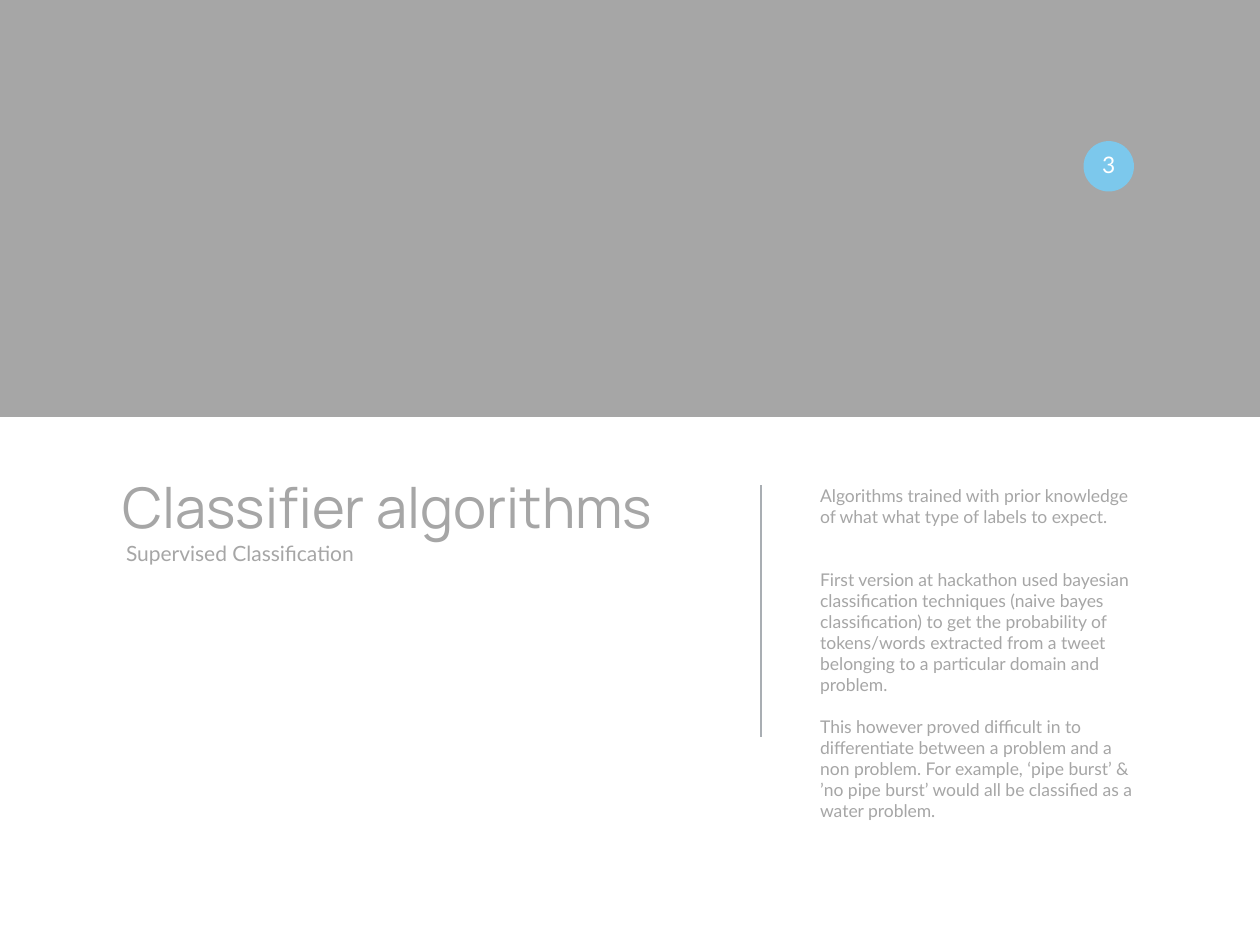
from pptx import Presentation
from pptx.dml.color import RGBColor
from pptx.enum.shapes import MSO_CONNECTOR, MSO_SHAPE
from pptx.enum.text import MSO_ANCHOR, PP_ALIGN
from pptx.oxml.ns import qn
from pptx.util import Inches, Pt
from lxml.etree import SubElement

COLORS = {
    "gray": "A6A6A6",
    "line": "A9AEB3",
    "blue": "7CC8EC",
    "white": "FFFFFF",
}

DESCRIPTION = [
    "Algorithms trained with prior knowledge of what what type of labels to expect.",
    "First version at hackathon used bayesian classification techniques (naive bayes "
    "classification) to get the probability of tokens/words extracted from a tweet "
    "belonging to a particular domain and problem.",
    "This however proved difficult in to differentiate between a problem and a non "
    "problem. For example, ‘pipe burst’ & ’no pipe burst’ would all be classified "
    "as a water problem.",
]


def color(name):
    return RGBColor.from_string(COLORS[name])


def write_text(shape, paragraphs, size, font="Lato", fill="gray", line_spacing=0.9,
               gaps=(), align=PP_ALIGN.LEFT, anchor=MSO_ANCHOR.TOP):
    """Fill a shape with paragraphs; gaps are points of space before each one."""
    frame = shape.text_frame
    frame.word_wrap = True
    frame.vertical_anchor = anchor
    frame.margin_left = frame.margin_right = 0
    frame.margin_top = frame.margin_bottom = 0
    for index, text in enumerate(paragraphs):
        paragraph = frame.add_paragraph() if index else frame.paragraphs[0]
        paragraph.alignment = align
        paragraph.line_spacing = line_spacing
        if gaps:
            paragraph.space_before = Pt(gaps[index])
        run = paragraph.add_run()
        run.text = text
        run.font.size = Pt(size)
        run.font.name = font
        run.font.color.rgb = color(fill)


def add_text(slide, paragraphs, left, top, width, height, **text_format):
    box = slide.shapes.add_textbox(Inches(left), Inches(top), Inches(width), Inches(height))
    write_text(box, paragraphs, **text_format)


def add_filled_shape(slide, kind, left, top, width, height, fill):
    shape = slide.shapes.add_shape(
        kind, Inches(left), Inches(top), Inches(width), Inches(height))
    shape.shadow.inherit = False
    shape.fill.solid()
    shape.fill.fore_color.rgb = color(fill)
    shape.line.fill.background()
    return shape


def add_vertical_line(slide, left, top, bottom):
    line = slide.shapes.add_connector(
        MSO_CONNECTOR.STRAIGHT, Inches(left), Inches(top), Inches(left), Inches(bottom))
    line.line.color.rgb = color("line")
    line.line.width = Pt(0.75)
    SubElement(line._element.spPr, qn("a:effectLst"))


def main():
    presentation = Presentation()
    presentation.slide_width = Inches(10)
    presentation.slide_height = Inches(7.5)
    slide = presentation.slides.add_slide(presentation.slide_layouts[6])

    # Top band
    add_filled_shape(slide, MSO_SHAPE.RECTANGLE, 0, 0, 10, 3.31, "gray")

    # Title and subtitle
    add_text(slide, ["Classifier algorithms"], 0.97, 3.81, 4.89, 0.63,
             size=32, font="Manrope")
    add_text(slide, ["Supervised Classification"], 1, 4.31, 5.01, 0.24, size=12)

    # Divider and description
    add_vertical_line(slide, 6.04, 3.85, 5.85)
    add_text(slide, DESCRIPTION, 6.51, 3.85, 2.5, 3.38,
             size=10, line_spacing=Pt(12), gaps=(0, 24, 12))

    # Page number badge
    badge = add_filled_shape(slide, MSO_SHAPE.OVAL, 8.6, 1.12, 0.4, 0.4, "blue")
    write_text(badge, ["3"], size=13, fill="white",
               align=PP_ALIGN.CENTER, anchor=MSO_ANCHOR.MIDDLE)

    presentation.save("out.pptx")


main()
